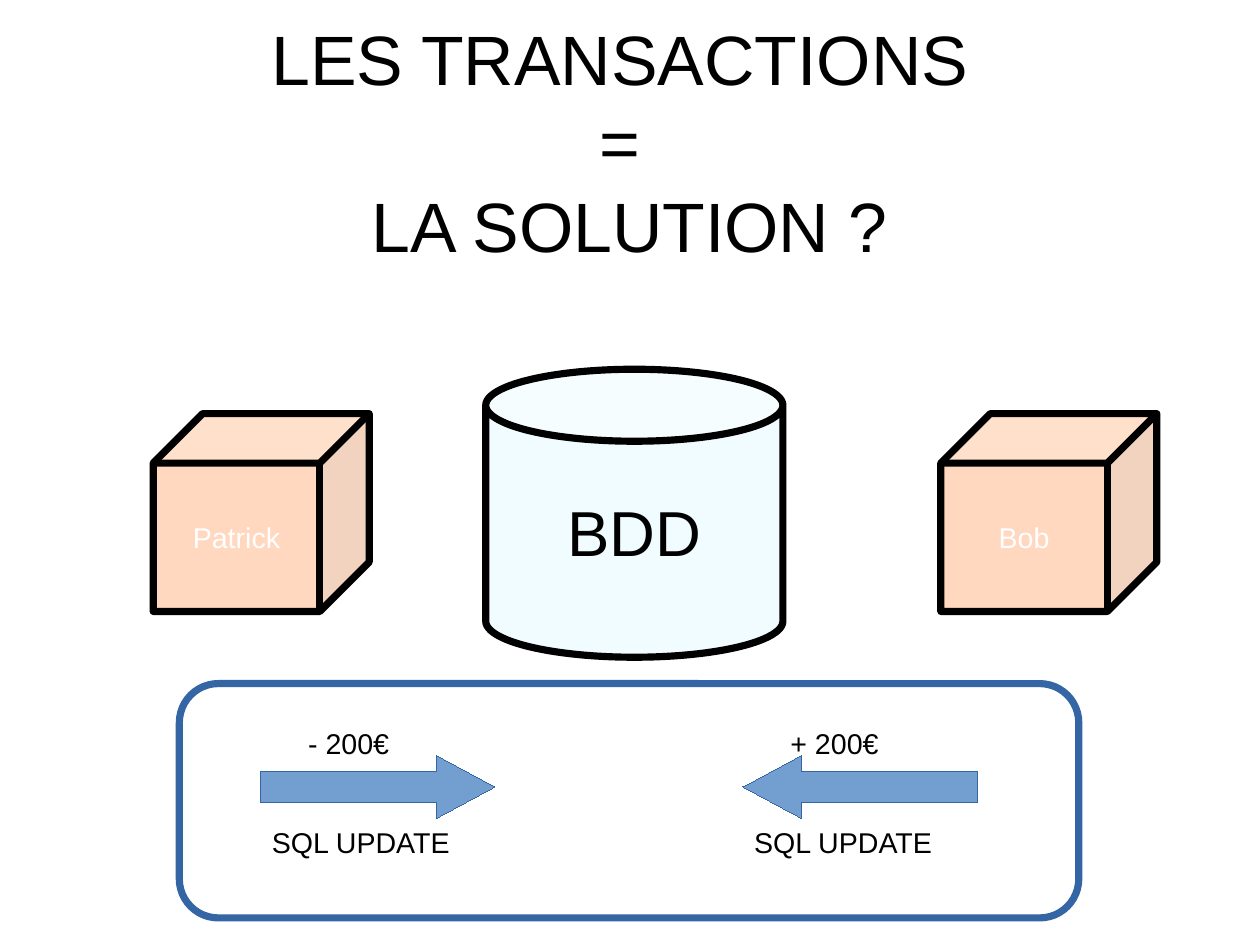
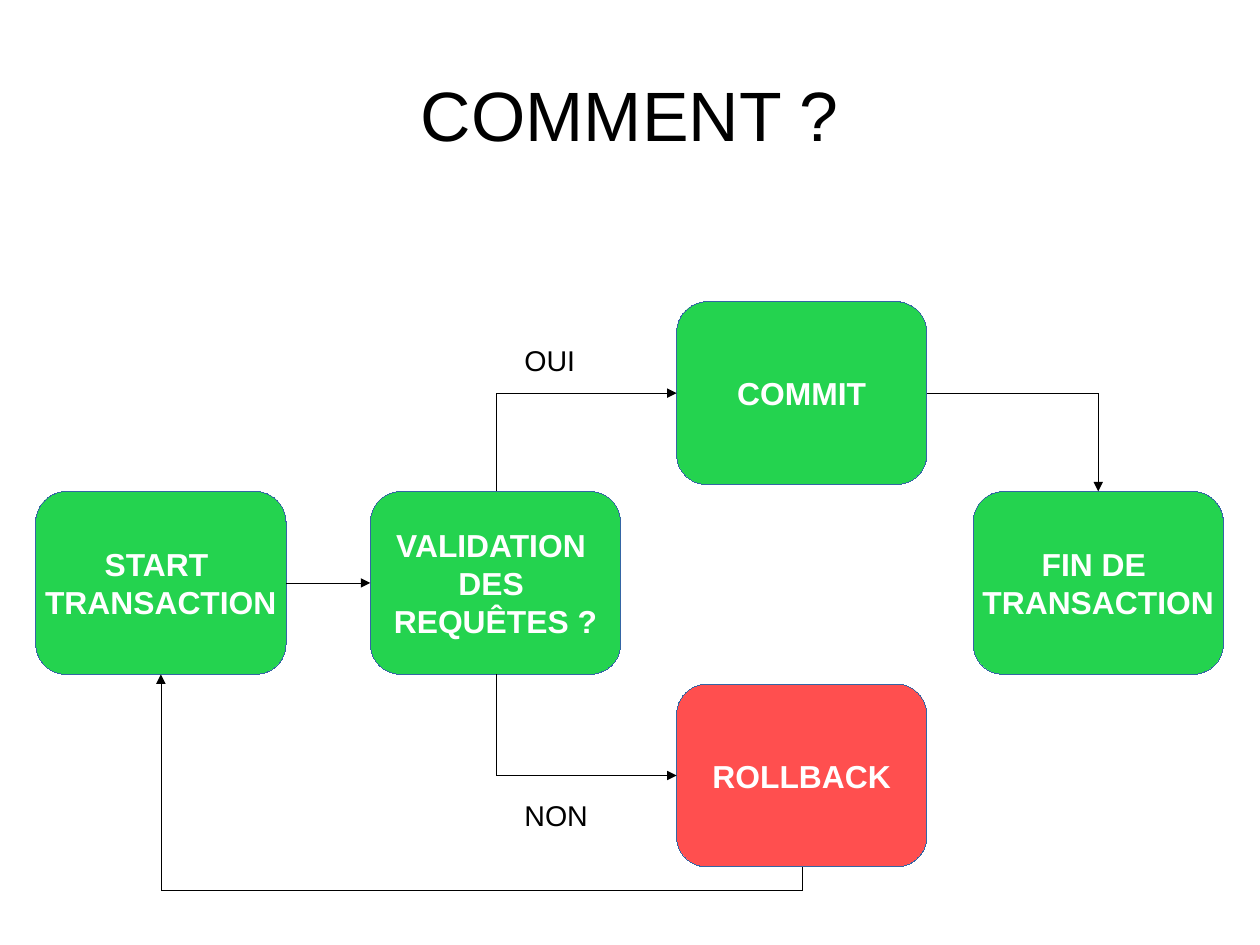
from dataclasses import dataclass

from lxml import etree
from pptx import Presentation
from pptx.dml.color import RGBColor
from pptx.enum.shapes import MSO_CONNECTOR, MSO_SHAPE
from pptx.enum.text import MSO_ANCHOR, MSO_AUTO_SIZE, PP_ALIGN
from pptx.oxml.ns import qn
from pptx.util import Pt

CAN, CUBE = MSO_SHAPE.CAN, MSO_SHAPE.CUBE
ARROW, ROUNDED = MSO_SHAPE.RIGHT_ARROW, MSO_SHAPE.ROUNDED_RECTANGLE
STRAIGHT, ELBOW = MSO_CONNECTOR.STRAIGHT, MSO_CONNECTOR.ELBOW
LEFT, CENTER = PP_ALIGN.LEFT, PP_ALIGN.CENTER
TOP, MIDDLE = MSO_ANCHOR.TOP, MSO_ANCHOR.MIDDLE
NO_AUTOFIT = MSO_AUTO_SIZE.NONE

# Connection sites of a rounded box
TOP_SITE, LEFT_SITE, BOTTOM_SITE, RIGHT_SITE = range(4)


@dataclass(frozen=True)
class Theme:
    font: str = "Arial"
    title_size: float = 44
    database_size: float = 40
    step_size: float = 20
    label_size: float = 18
    black: str = "000000"
    white: str = "FFFFFF"
    blue: str = "3465A4"
    light_blue: str = "729FCF"
    cyan: str = "00CCFF"
    orange: str = "FF6600"
    green: str = "00CC33"
    red: str = "FF3333"
    thick: float = 4.5
    hairline: float = 0


class Deck:
    """Holds the style and the current slide; all lengths are in points."""

    def __init__(self, theme):
        self.theme = theme
        self.presentation = Presentation()
        self.presentation.slide_width = Pt(793.7)
        self.presentation.slide_height = Pt(595.28)
        self.page = None

    def add_page(self, title, top, height):
        self.page = self.presentation.slides.add_slide(self.presentation.slide_layouts[5])
        box = self.page.shapes.title
        box.left, box.top, box.width, box.height = Pt(39.7), Pt(top), Pt(714.4), Pt(height)
        frame = box.text_frame
        frame.margin_left = frame.margin_right = frame.margin_top = frame.margin_bottom = 0
        frame.auto_size = NO_AUTOFIT
        self.set_text(frame, title, self.theme.title_size)

    def set_text(self, frame, text, size, color=None, bold=False, align=CENTER, anchor=MIDDLE):
        frame.text = text
        frame.vertical_anchor = anchor
        for para in frame.paragraphs:
            para.alignment = align
            para.font.name = self.theme.font
            para.font.size = Pt(size)
            para.font.bold = bold
            para.font.color.rgb = RGBColor.from_string(color or self.theme.black)

    def style_line(self, shape, color, width):
        """Replace the template's shape style by a plain line."""
        shape._element.remove(shape._element.find(qn("p:style")))
        shape.line.color.rgb = RGBColor.from_string(color)
        shape.line.width = Pt(width)

    def shape(self, kind, left, top, width, height, line, line_width, fill=None, opacity=100):
        shape = self.page.shapes.add_shape(kind, Pt(left), Pt(top), Pt(width), Pt(height))
        shape.shadow.inherit = False
        self.style_line(shape, line, line_width)
        if fill is None:
            shape.fill.background()
        else:
            shape.fill.solid()
            shape.fill.fore_color.rgb = RGBColor.from_string(fill)
            if opacity < 100:
                color = shape._element.spPr.find(qn("a:solidFill")).find(qn("a:srgbClr"))
                etree.SubElement(color, qn("a:alpha"), val=str(opacity * 1000))
        shape.text_frame.word_wrap = False
        return shape

    def label(self, text, left, top, width):
        box = self.page.shapes.add_textbox(Pt(left), Pt(top), Pt(width), Pt(27))
        box.text_frame.word_wrap = True
        self.set_text(box.text_frame, text, self.theme.label_size, align=LEFT, anchor=TOP)

    def step(self, text, left, top, fill):
        box = self.shape(ROUNDED, left, top, 157.7, 115.2, self.theme.blue,
                         self.theme.hairline, fill, 86)
        self.set_text(box.text_frame, text, self.theme.step_size, self.theme.white, bold=True)
        return box

    def connect(self, source, source_site, target, target_site, preset=None, bend=None):
        """Join two boxes by an arrow, straight unless a bent preset is given."""
        kind = ELBOW if preset else STRAIGHT
        link = self.page.shapes.add_connector(kind, 0, 0, 0, 0)
        link.begin_connect(source, source_site)
        link.end_connect(target, target_site)
        self.style_line(link, self.theme.black, self.theme.hairline)
        properties = link._element.spPr
        etree.SubElement(properties.find(qn("a:ln")), qn("a:tailEnd"), type="triangle")
        etree.SubElement(properties, qn("a:effectLst"))
        if preset:
            geometry = properties.find(qn("a:prstGeom"))
            geometry.set("prst", preset)
            if bend is not None:
                guides = geometry.find(qn("a:avLst"))
                etree.SubElement(guides, qn("a:gd"), name="adj1", fmla=f"val {round(bend * 100000)}")
            if source_site in (TOP_SITE, BOTTOM_SITE):
                self.turn_upright(link)

    def turn_upright(self, link):
        """Rotate a bent connector so that it leaves its source vertically."""
        flip_h = link.end_x > link.begin_x
        flip_v = link.end_y < link.begin_y
        center_x = link.left + link.width // 2
        center_y = link.top + link.height // 2
        width, height = link.height, link.width
        link.left, link.top = center_x - width // 2, center_y - height // 2
        link.width, link.height = width, height
        frame = link._element.spPr.find(qn("a:xfrm"))
        frame.set("rot", str((90 if flip_h == flip_v else 270) * 60000))
        frame.set("flipH", str(int(flip_h)))
        frame.set("flipV", str(int(flip_v)))


def add_solution_page(deck):
    theme = deck.theme
    deck.add_page("LES TRANSACTIONS \v= \vLA SOLUTION ?", 15, 147.6)

    # Database and its two clients
    database = deck.shape(CAN, 306, 232.6, 187.2, 181.4, theme.black, theme.thick, theme.cyan, 6)
    deck.set_text(database.text_frame, "BDD", theme.database_size)
    for name, left in (("Patrick", 96.5), ("Bob", 592.6)):
        client = deck.shape(CUBE, left, 260.6, 136.1, 124.6, theme.black, theme.thick,
                            theme.orange, 25)
        deck.set_text(client.text_frame, name, theme.label_size, theme.white)

    # Money transfers
    for amount, left, rotation in (("- 200€", 164.2, 0), ("+ 200€", 468, 180)):
        deck.label(amount, left + 22.8, 453.6, 130.3)
        arrow = deck.shape(ARROW, left, 475.9, 147.6, 39.6, theme.blue, theme.hairline,
                           theme.light_blue)
        arrow.adjustments[1] = 0.93
        arrow.rotation = rotation
        deck.label("SQL UPDATE", left, 516.2, 170)

    # Transaction frame
    deck.shape(ROUNDED, 113, 430.6, 566.6, 147.6, theme.blue, theme.thick)


def add_process_page(deck):
    theme = deck.theme
    deck.add_page("COMMENT ?", 22.3, 97.9)

    # Steps
    upper, middle, lower = 190.1, 309.6, 430.9
    start = deck.step("START \nTRANSACTION", 22.5, middle, theme.green)
    commit = deck.step("COMMIT", 426.2, upper, theme.green)
    rollback = deck.step("ROLLBACK", 426.2, lower, theme.red)
    check = deck.step("VALIDATION \nDES \nREQUÊTES ?", 233.3, middle, theme.green)
    finish = deck.step("FIN DE \nTRANSACTION", 613, middle, theme.green)

    # Flow
    deck.connect(start, RIGHT_SITE, check, LEFT_SITE)
    deck.connect(check, TOP_SITE, commit, LEFT_SITE, "bentConnector2")
    deck.connect(check, BOTTOM_SITE, rollback, LEFT_SITE, "bentConnector2")
    deck.connect(rollback, BOTTOM_SITE, start, BOTTOM_SITE, "bentConnector3", -0.12)
    deck.connect(commit, RIGHT_SITE, finish, TOP_SITE, "bentConnector2")

    # Answers
    for answer, top in (("OUI", 212.4), ("NON", 499)):
        deck.label(answer, 323.3, top, 67.7)


def main():
    deck = Deck(Theme())
    add_solution_page(deck)
    add_process_page(deck)
    deck.presentation.save("out.pptx")


if __name__ == "__main__":
    main()
